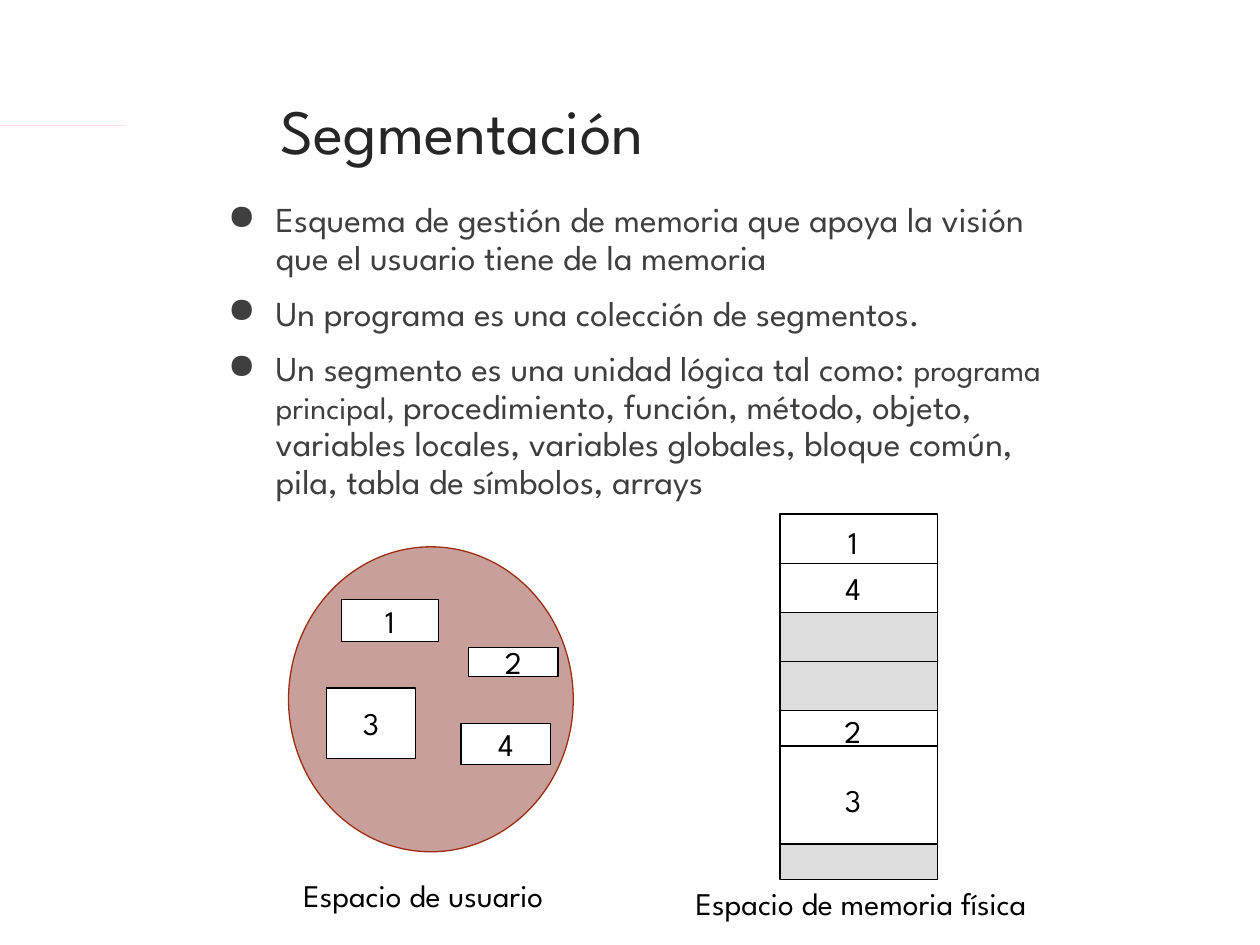
from lxml import etree
from pptx import Presentation, util as u
from pptx.dml.color import RGBColor
from pptx.enum import shapes as s, text as t
from pptx.oxml import ns

BLACK = RGBColor(0, 0, 0)
WHITE = RGBColor(255, 255, 255)
RED = RGBColor(255, 0, 0)
TITLE_GRAY = RGBColor(0x26, 0x26, 0x26)
BODY_GRAY = RGBColor(0x3F, 0x3F, 0x3F)
FREE_GRAY = RGBColor(0xDD, 0xDD, 0xDD)
ROSE = RGBColor(0xC9, 0x9F, 0x9C)
RUST = RGBColor(0x9D, 0x2D, 0x0F)


class SlideBuilder:
    font_name = "League Spartan"
    line_width = u.Pt(0.75)

    def __init__(self, slide):
        self.slide = slide
        self.target = slide.shapes

    def start_group(self):
        self.target = self.slide.shapes.add_group_shape().shapes

    def format_run(self, run, size, color):
        run.font.name = self.font_name
        run.font.size = u.Pt(size)
        run.font.color.rgb = color

    def center(self, shape, label):
        frame = shape.text_frame
        frame.word_wrap = True
        frame.vertical_anchor = t.MSO_ANCHOR.MIDDLE
        frame.text = label
        paragraph = frame.paragraphs[0]
        paragraph.alignment = t.PP_ALIGN.CENTER
        for run in paragraph.runs:
            self.format_run(run, 18, BLACK)

    def box(self, bounds, fill=WHITE, label="", line=BLACK, kind=s.MSO_SHAPE.RECTANGLE):
        shape = self.target.add_shape(kind, *map(u.Inches, bounds))
        shape.shadow.inherit = False
        shape.fill.solid()
        shape.fill.fore_color.rgb = fill
        shape.line.color.rgb = line
        shape.line.width = self.line_width
        if label:
            self.center(shape, label)
        return shape

    def caption(self, bounds, label):
        self.center(self.target.add_textbox(*map(u.Inches, bounds)), label)

    def divider(self, left, right, y, split_box=None):
        connector = self.target.add_connector(
            s.MSO_CONNECTOR.STRAIGHT, u.Inches(left), u.Inches(y), u.Inches(right), u.Inches(y))
        connector.line.color.rgb = BLACK
        connector.line.width = self.line_width
        etree.SubElement(connector._element.spPr, ns.qn("a:effectLst"))
        if split_box is not None:
            connector.begin_connect(split_box, 1)
            connector.end_connect(split_box, 3)

    def banner(self, points, fill):
        builder = self.target.build_freeform(*points[0], scale=u.Inches(1))
        builder.add_line_segments(points[1:], close=True)
        shape = builder.convert_to_shape()
        shape.shadow.inherit = False
        shape.fill.solid()
        shape.fill.fore_color.rgb = fill
        shape.line.fill.background()

    def title(self, bounds, label):
        frame = self.target.add_textbox(*map(u.Inches, bounds)).text_frame
        frame.word_wrap = True
        frame.text = label
        self.format_run(frame.paragraphs[0].runs[0], 36, TITLE_GRAY)

    def bullets(self, bounds, items):
        frame = self.target.add_textbox(*map(u.Inches, bounds)).text_frame
        frame.word_wrap = True
        for index, pieces in enumerate(items):
            paragraph = frame.add_paragraph() if index else frame.paragraphs[0]
            paragraph.line_spacing = 0.9
            if index:
                paragraph.space_before = u.Pt(10)
            properties = paragraph._p.get_or_add_pPr()
            properties.set("marL", str(u.Inches(0.38)))
            properties.set("indent", str(-u.Inches(0.38)))
            etree.SubElement(properties, ns.qn("a:buChar"), char="●")
            for content, size in pieces:
                run = paragraph.add_run()
                run.text = content
                self.format_run(run, size, BODY_GRAY)


def main():
    presentation = Presentation()
    presentation.slide_width = u.Inches(10)
    presentation.slide_height = u.Inches(7.5)
    slide = presentation.slides.add_slide(presentation.slide_layouts[6])
    builder = SlideBuilder(slide)

    builder.banner([(0, 0.78), (1.21, 0.78), (1.24, 0.79), (1.49, 1.04),
                    (1.49, 1.07), (1.24, 1.32), (1.21, 1.33), (0, 1.33)], RED)
    builder.title((2.13, 0.68, 7.21, 1.4), "Segmentación")
    builder.bullets((1.71, 1.56, 6.98, 2.83), [
        [("Esquema de gestión de memoria que apoya la visión que el usuario "
          "tiene de la memoria", 20)],
        [("Un programa es una colección de segmentos.", 20)],
        [("Un segmento es una unidad lógica tal como: ", 20),
         ("programa principal, ", 18),
         ("procedimiento, función, método, objeto, variables locales, variables "
          "globales, bloque común, pila, tabla de símbolos, arrays", 20)],
    ])

    builder.start_group()
    builder.box((2.29, 4.34, 2.26, 2.42), ROSE, line=RUST, kind=s.MSO_SHAPE.OVAL)
    user_segments = [
        ("1", (2.71, 4.76, 0.77, 0.33)),
        ("3", (2.59, 5.46, 0.71, 0.56)),
        ("2", (3.72, 5.14, 0.71, 0.23)),
        ("4", (3.66, 5.74, 0.71, 0.33)),
    ]
    for label, bounds in user_segments:
        builder.box(bounds, label=label)
    builder.caption((2.29, 6.84, 2.14, 0.53), "Espacio de usuario")

    builder.start_group()
    left, width = 6.19, 1.25
    right = left + width
    top = 4.08
    memory_blocks = [(0.78, WHITE, 0.39), (0.78, FREE_GRAY, 0.39),
                     (1.06, WHITE, 0.28), (0.28, FREE_GRAY, None)]
    for height, fill, split in memory_blocks:
        block = builder.box((left, top, width, height), fill)
        if split:
            halved = split * 2 == height
            builder.divider(left, right, top + split, block if halved else None)
        top += height
    for label, y in [("1", 4.17), ("4", 4.53), ("2", 5.67), ("3", 6.21)]:
        builder.caption((6.6, y, 0.34, 0.27), label)
    builder.caption((5.2, 6.97, 3.27, 0.4), "Espacio de memoria física")

    presentation.save("out.pptx")


if __name__ == "__main__":
    main()
